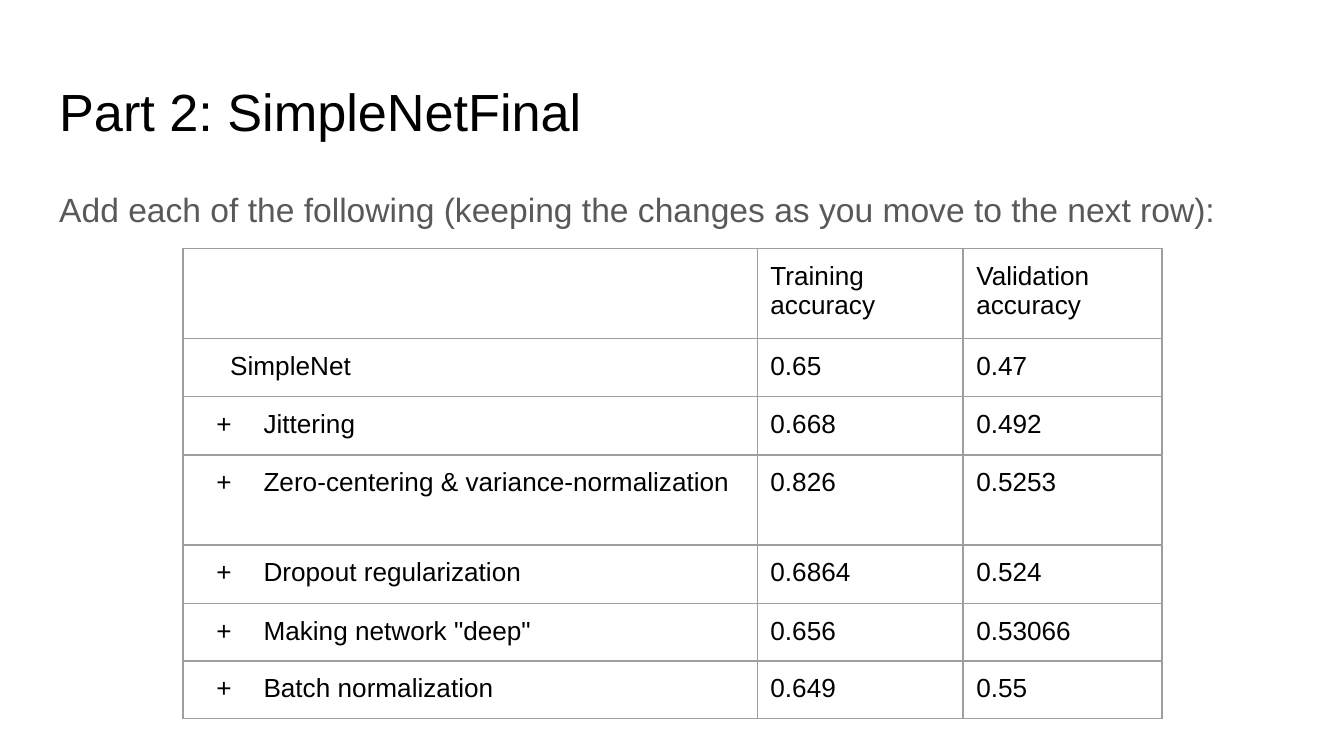
from lxml import etree
from pptx import Presentation
from pptx.dml.color import RGBColor
from pptx.oxml.ns import qn
from pptx.util import Cm, Pt

BLACK = RGBColor(0x00, 0x00, 0x00)
GRAY = RGBColor(0x59, 0x59, 0x59)
BORDER = RGBColor(0x9E, 0x9E, 0x9E)
FONT = "Arial"
INSET = Cm(0.25)

COLUMN_WIDTHS = (10.85, 3.89, 3.76)
ROW_HEIGHTS = (1.7, 1.1, 1.1, 1.7, 1.1, 1.07, 1.07)
HEADERS = ("", "Training accuracy", "Validation accuracy")
BASELINE = ("SimpleNet", "0.65", "0.47")
ADDITIONS = (
    ("Jittering", "0.668", "0.492"),
    ("Zero-centering & variance-normalization", "0.826", "0.5253"),
    ("Dropout regularization", "0.6864", "0.524"),
    ('Making network "deep"', "0.656", "0.53066"),
    ("Batch normalization", "0.649", "0.55"),
)


def add_run(paragraph, text, size, color):
    run = paragraph.add_run()
    run.text = text
    run.font.name = FONT
    run.font.size = Pt(size)
    run.font.color.rgb = color


def set_margins(target):
    target.margin_left = target.margin_right = INSET
    target.margin_top = target.margin_bottom = INSET


def add_text(slide, box, text, size, color, line_spacing=1.0):
    text_frame = slide.shapes.add_textbox(*box).text_frame
    text_frame.word_wrap = True
    set_margins(text_frame)
    paragraph = text_frame.paragraphs[0]
    paragraph.line_spacing = line_spacing
    add_run(paragraph, text, size, color)


def set_borders(cell):
    properties = cell._tc.get_or_add_tcPr()
    for index, side in enumerate(("lnL", "lnR", "lnT", "lnB")):
        line = etree.Element(qn(f"a:{side}"), w=str(Pt(0.75)))
        fill = etree.SubElement(line, qn("a:solidFill"))
        etree.SubElement(fill, qn("a:srgbClr"), val=str(BORDER))
        properties.insert(index, line)


def set_indent(paragraph, left, first_line=0, bullet=None):
    properties = paragraph._p.get_or_add_pPr()
    properties.set("marL", str(Cm(left)))
    properties.set("indent", str(Cm(first_line)))
    if bullet:
        color = etree.SubElement(properties, qn("a:buClr"))
        etree.SubElement(color, qn("a:srgbClr"), val=str(BLACK))
        etree.SubElement(properties, qn("a:buFont"), typeface=FONT)
        etree.SubElement(properties, qn("a:buChar"), char=bullet)


def add_accuracy_table(slide, box):
    rows = (HEADERS, BASELINE, *ADDITIONS)
    table = slide.shapes.add_table(len(rows), len(HEADERS), *box).table
    table.first_row = table.horz_banding = False
    for column, width in zip(table.columns, COLUMN_WIDTHS):
        column.width = Cm(width)
    for row, height in zip(table.rows, ROW_HEIGHTS):
        row.height = Cm(height)

    for row, texts in zip(table.rows, rows):
        for cell, text in zip(row.cells, texts):
            set_margins(cell)
            cell.fill.background()
            set_borders(cell)
            if text:
                add_run(cell.text_frame.paragraphs[0], text, 14, BLACK)

    set_indent(table.cell(1, 0).text_frame.paragraphs[0], 0.64)
    for index in range(2, len(rows)):
        paragraph = table.cell(index, 0).text_frame.paragraphs[0]
        set_indent(paragraph, 1.27, -0.89, "+")


def build_slide(presentation):
    slide = presentation.slides.add_slide(presentation.slide_layouts[6])
    left, width = Cm(0.87), Cm(23.67)
    add_text(slide, (left, Cm(1.24), width, Cm(1.6)),
             "Part 2: SimpleNetFinal", 28, BLACK)
    add_text(slide, (left, Cm(3.2), width, Cm(9.49)),
             "Add each of the following (keeping the changes as you move "
             "to the next row):", 18, GRAY, 1.15)
    add_accuracy_table(slide, (Cm(3.46), Cm(4.7),
                               Cm(sum(COLUMN_WIDTHS)), Cm(sum(ROW_HEIGHTS))))


def main():
    presentation = Presentation()
    presentation.slide_width = Cm(25.4)
    presentation.slide_height = Cm(14.29)
    build_slide(presentation)
    presentation.save("out.pptx")


if __name__ == "__main__":
    main()
